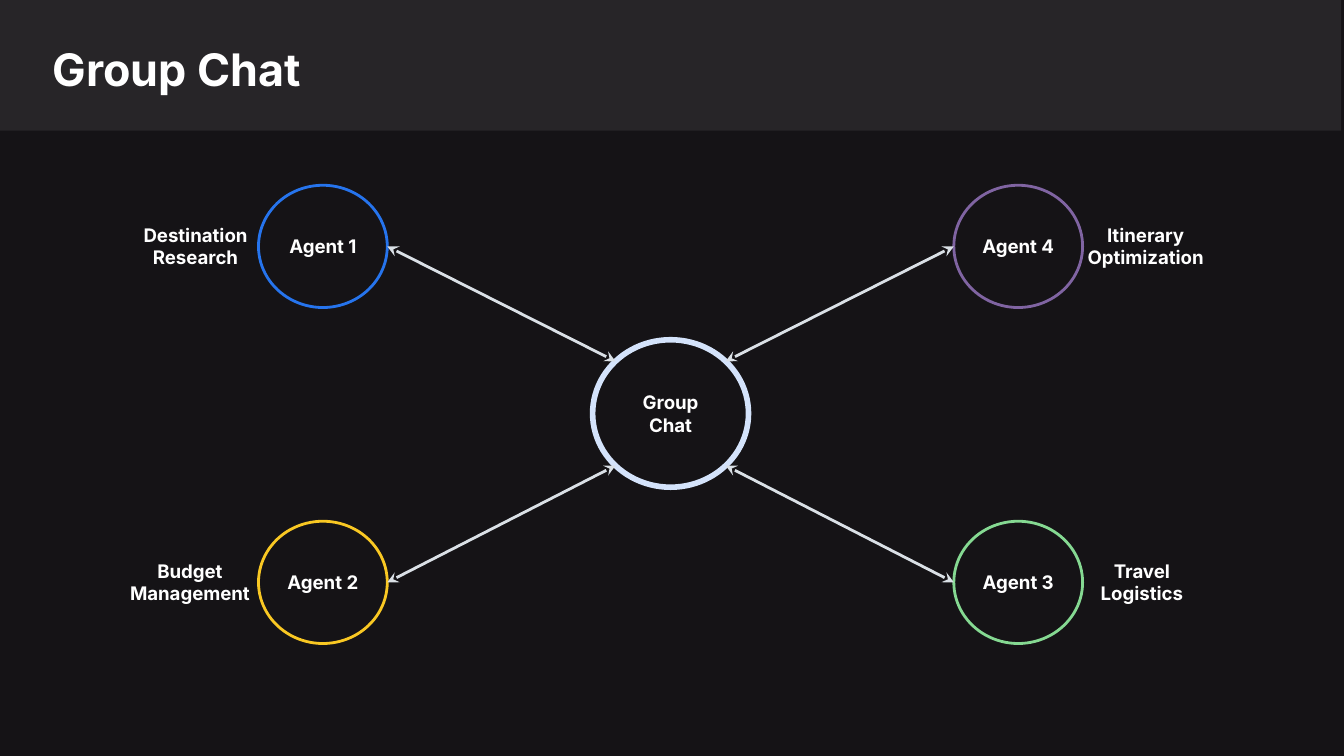
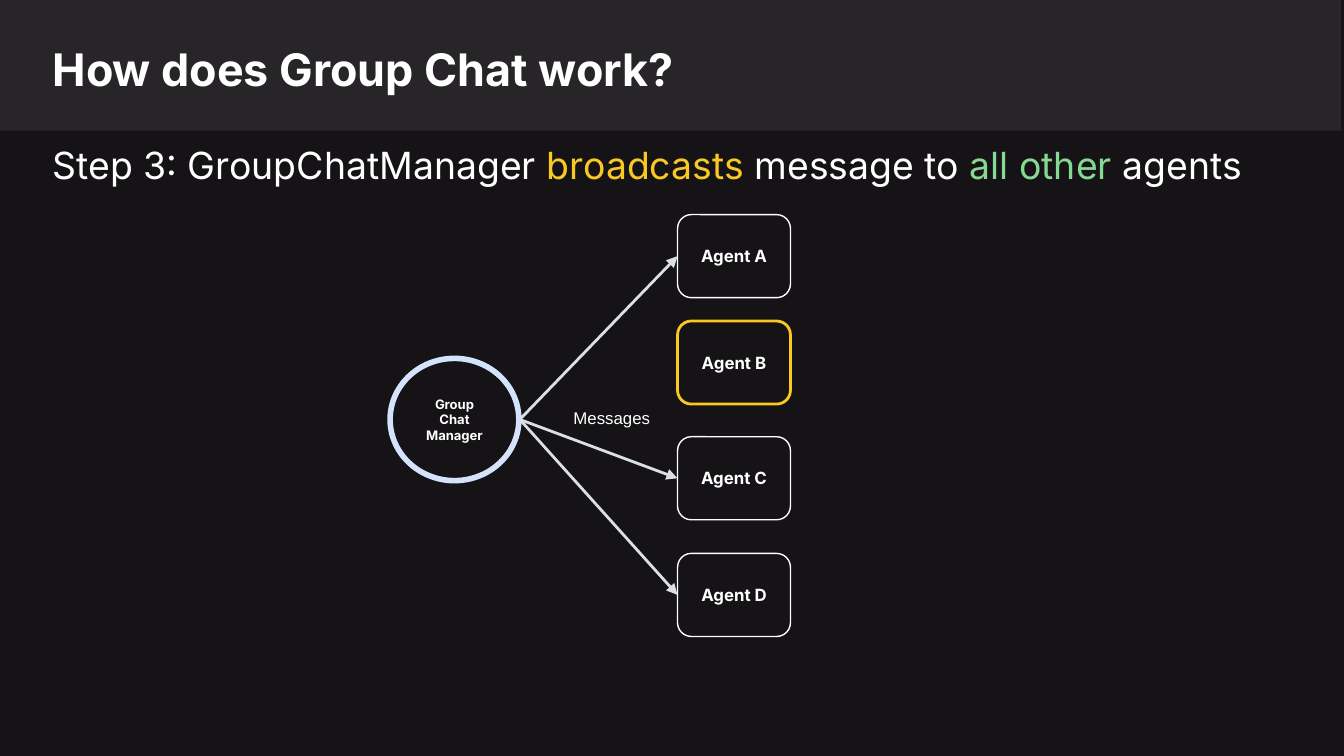
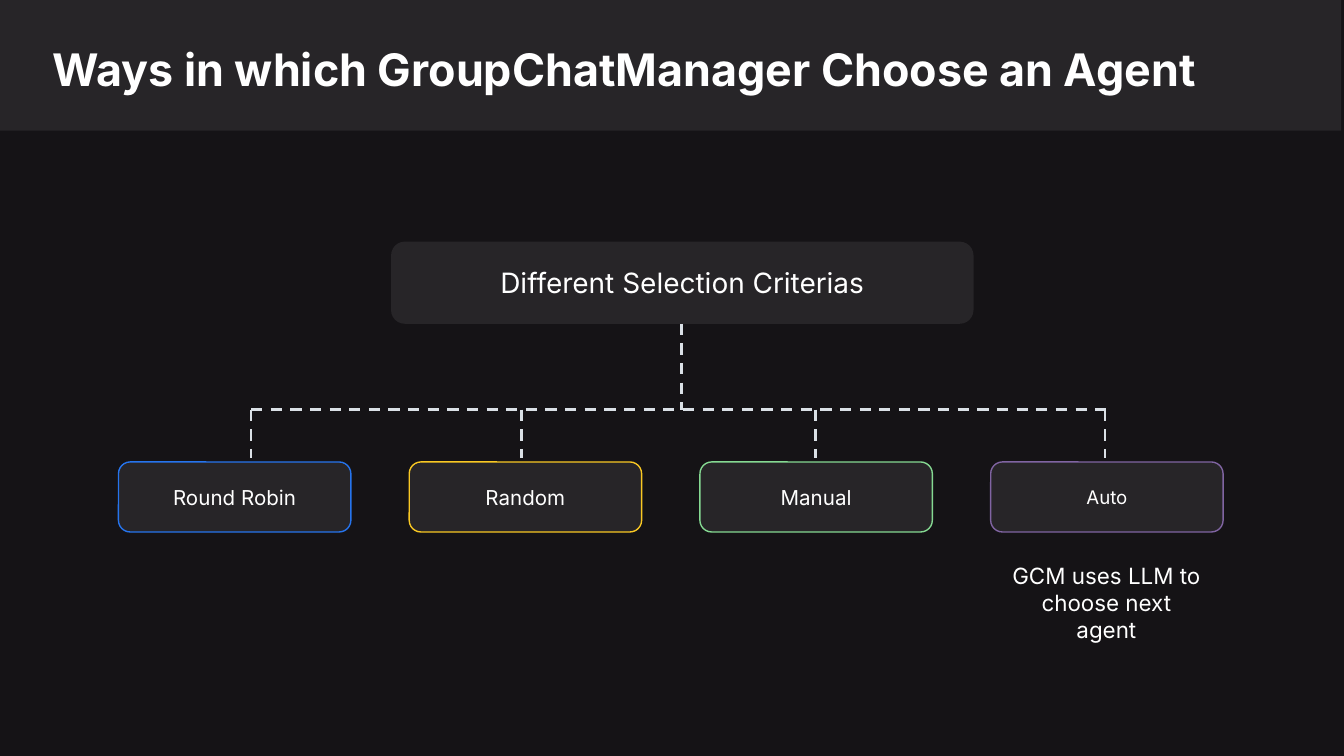
import lxml.etree
import pptx
import pptx.dml.color
import pptx.enum.dml
import pptx.enum.shapes
import pptx.enum.text
import pptx.oxml.ns
import pptx.util

Pt = pptx.util.Pt
OVAL = pptx.enum.shapes.MSO_SHAPE.OVAL
ROUNDED = pptx.enum.shapes.MSO_SHAPE.ROUNDED_RECTANGLE
RECTANGLE = pptx.enum.shapes.MSO_SHAPE.RECTANGLE
LEFT, CENTER = pptx.enum.text.PP_ALIGN.LEFT, pptx.enum.text.PP_ALIGN.CENTER
TOP, MIDDLE = pptx.enum.text.MSO_ANCHOR.TOP, pptx.enum.text.MSO_ANCHOR.MIDDLE


class Theme:
    ground, panel, text = "151316", "272528", "FFFFFF"
    blue, yellow, green, purple = "2674ED", "F9C823", "85D992", "8064A2"
    hub, link = "D4E3FB", "DAE0E6"
    font, plain_font = "Inter", "Arial"
    title, step, root, note, option = 24, 20, 15, 12, 11
    label, agent, manager = 10, 9, 7
    thin, medium, thick = 0.75, 1.5, 3


def write_box(page, area, text="", kind=None, holder=None, fill=None, outline=None,
              weight=Theme.thin, size=Theme.label, bold=False, font=Theme.font,
              align=CENTER, anchor=TOP, margin=7.2):
    """Fill a placeholder, preset shape or text box; text is a string or (text, colour) pairs."""
    left, top, width, height = map(Pt, area)
    if holder is not None:
        box = holder
        box.left, box.top, box.width, box.height = left, top, width, height
    elif kind is None:
        box = page.shapes.add_textbox(left, top, width, height)
    else:
        box = page.shapes.add_shape(kind, left, top, width, height)
        box.shadow.inherit = False
        if fill:
            box.fill.solid()
            box.fill.fore_color.rgb = pptx.dml.color.RGBColor.from_string(fill)
        else:
            box.fill.background()
        if outline:
            box.line.color.rgb = pptx.dml.color.RGBColor.from_string(outline)
            box.line.width = Pt(weight)
        else:
            box.line.fill.background()
    if not text:
        return box
    frame = box.text_frame
    frame.word_wrap = True
    frame.auto_size = pptx.enum.text.MSO_AUTO_SIZE.NONE
    frame.vertical_anchor = anchor
    frame.margin_left = frame.margin_right = Pt(margin)
    frame.margin_top = frame.margin_bottom = Pt(margin)
    para = frame.paragraphs[0]
    para.alignment = align
    para.space_before = Pt(0)
    for words, color in [(text, Theme.text)] if isinstance(text, str) else text:
        span = para.add_run()
        span.text = words
        span.font.name, span.font.size, span.font.bold = font, Pt(size), bold
        span.font.color.rgb = pptx.dml.color.RGBColor.from_string(color)
    return box


def draw_line(page, start, end, head=None, tail=None, dashed=False):
    line = page.shapes.add_connector(
        pptx.enum.shapes.MSO_CONNECTOR.STRAIGHT, *map(Pt, (*start, *end)))
    line.line.color.rgb = pptx.dml.color.RGBColor.from_string(Theme.link)
    line.line.width = Pt(Theme.medium)
    if dashed:
        line.line.dash_style = pptx.enum.dml.MSO_LINE.DASH
    properties = line.element.spPr
    for tag, arrow in (("a:headEnd", head), ("a:tailEnd", tail)):
        if arrow:
            lxml.etree.SubElement(properties.get_or_add_ln(), pptx.oxml.ns.qn(tag), type=arrow)
    lxml.etree.SubElement(properties, pptx.oxml.ns.qn("a:effectLst"))


deck = pptx.Presentation()
deck.slide_width, deck.slide_height = Pt(720), Pt(405)
ground = deck.slide_master.background.fill
ground.solid()
ground.fore_color.rgb = pptx.dml.color.RGBColor.from_string(Theme.ground)

# Shared band and title
pages = []
for title, title_width, layout in (
    ("Group Chat", 629, 5),
    ("How does Group Chat work?", 629, 1),
    ("Ways in which GroupChatManager Choose an Agent", 667, 5),
):
    page = deck.slides.add_slide(deck.slide_layouts[layout])
    heading = write_box(page, (21, 15, title_width, 42), title, holder=page.shapes.title,
                        size=Theme.title, bold=True, align=LEFT)
    band = write_box(page, (0, -0.5, 718.5, 70.5), kind=RECTANGLE, fill=Theme.panel)
    heading.element.addprevious(band.element)
    pages.append(page)
chat_page, broadcast_page, criteria_page = pages

# Group chat: four agents around a hub
hub_left, hub_top, hub_width, hub_height = 317.5, 182, 83.5, 79
hub_x, hub_y = hub_left + hub_width / 2, hub_top + hub_height / 2
diagonal = 0.5 ** 0.5
agent_width, agent_height = 69, 65.5
write_box(chat_page, (hub_left, hub_top, hub_width, hub_height), "Group Chat", kind=OVAL,
          outline=Theme.hub, weight=Theme.thick, bold=True, anchor=MIDDLE)
for name, role, color, side, level, role_left in (
    ("Agent 1", "Destination Research", Theme.blue, -1, -1, 60.5),
    ("Agent 2", "Budget Management", Theme.yellow, -1, 1, 57.5),
    ("Agent 3", "Travel Logistics", Theme.green, 1, 1, 567.5),
    ("Agent 4", "Itinerary Optimization", Theme.purple, 1, -1, 569.5),
):
    agent_x, agent_y = hub_x + side * 186.25, hub_y + 0.5 + level * 90
    write_box(chat_page, (agent_x - agent_width / 2, agent_y - agent_height / 2,
                          agent_width, agent_height),
              name, kind=OVAL, outline=color, weight=Theme.medium, bold=True,
              anchor=MIDDLE, margin=0)
    write_box(chat_page, (role_left, agent_y - 19.5, 88.5, 39), role, bold=True)
    draw_line(chat_page, (agent_x - side * agent_width / 2, agent_y),
              (hub_x + side * diagonal * hub_width / 2, hub_y + level * diagonal * hub_height / 2),
              head="stealth", tail="stealth")

# Broadcast: the manager sends to every agent but the speaker
step = write_box(broadcast_page, (21, 69, 677, 42),
                 [("Step 3: GroupChatManager ", Theme.text), ("broadcasts", Theme.yellow),
                  (" message to ", Theme.text), ("all other", Theme.green),
                  (" agents", Theme.text)],
                 holder=broadcast_page.placeholders[1], size=Theme.step, align=LEFT)
step_para = step.text_frame.paragraphs[0]
step_para.space_after = Pt(10)
step_format = step_para._p.get_or_add_pPr()
step_format.set("marL", "0")
step_format.set("indent", "0")
lxml.etree.SubElement(step_format, pptx.oxml.ns.qn("a:buNone"))

write_box(broadcast_page, (209, 192, agent_width, agent_height), "Group Chat Manager", kind=OVAL,
          outline=Theme.hub, weight=Theme.thick, size=Theme.manager, bold=True, anchor=MIDDLE)
for name, top in (("Agent A", 115), ("Agent B", 172), ("Agent C", 234), ("Agent D", 296.5)):
    speaking = name == "Agent B"
    write_box(broadcast_page, (363, top, 60.5, 44.5), name, kind=ROUNDED,
              outline=Theme.yellow if speaking else Theme.text,
              weight=Theme.medium if speaking else Theme.thin,
              size=Theme.agent, bold=True, anchor=MIDDLE)
    if not speaking:
        draw_line(broadcast_page, (278.5, 224.75), (363, top + 22.25), tail="triangle")
write_box(broadcast_page, (297.5, 211, 60.5, 22.5), "Messages",
          size=Theme.agent, font=Theme.plain_font)

# Selection criteria: a tree with four options
rail_y = 219.5
write_box(criteria_page, (209.5, 129.5, 312, 44), "Different Selection Criterias", kind=ROUNDED,
          fill=Theme.panel, size=Theme.root, anchor=MIDDLE)
draw_line(criteria_page, (365, 173.5), (365, rail_y), dashed=True)
draw_line(criteria_page, (134.5, rail_y), (596, rail_y), dashed=True)
for column, (name, color, size, drop_x) in enumerate((
    ("Round Robin", Theme.blue, Theme.option, 134.5),
    ("Random", Theme.yellow, Theme.option, 279.5),
    ("Manual", Theme.green, Theme.option, 437),
    ("Auto", Theme.purple, Theme.label, 592),
)):
    write_box(criteria_page, (63.5 + 155.75 * column, 247.5, 124.5, 37.5), name, kind=ROUNDED,
              fill=Theme.panel, outline=color, size=size, anchor=MIDDLE)
    draw_line(criteria_page, (drop_x, rail_y), (drop_x, 245.5), dashed=True)
write_box(criteria_page, (534, 294, 117.5, 29), "GCM uses LLM to choose next agent", size=Theme.note)

deck.save("out.pptx")
